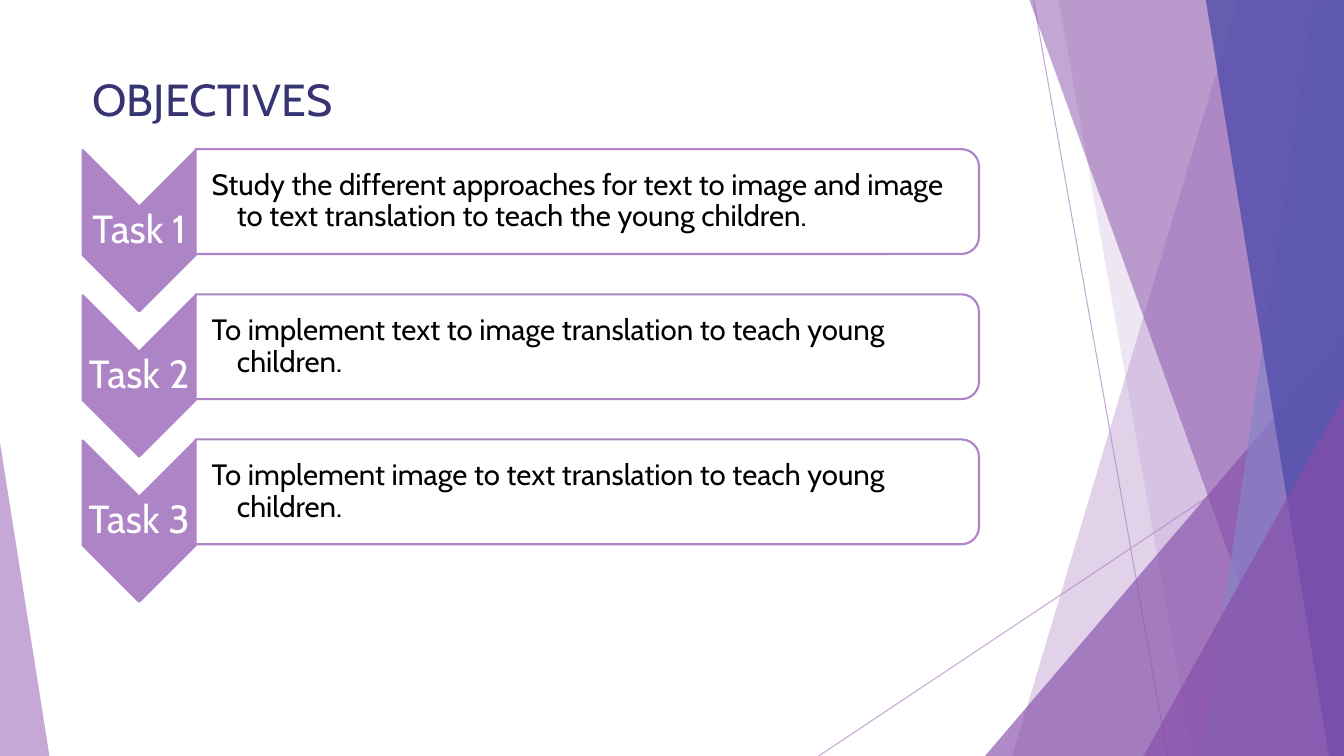
from dataclasses import dataclass

from lxml.etree import SubElement
from pptx import Presentation
from pptx.dml.color import RGBColor
from pptx.enum.shapes import MSO_CONNECTOR, MSO_SHAPE
from pptx.enum.text import MSO_ANCHOR, PP_ALIGN
from pptx.oxml.ns import qn
from pptx.util import Inches, Pt

TITLE = "OBJECTIVES"
TASKS = [
    ("Task 1", "Study the different approaches for text to image and image to text "
               "translation to teach the young children."),
    ("Task 2", "To implement text to image translation to teach young children."),
    ("Task 3", "To implement image to text translation to teach young children."),
]


@dataclass(frozen=True)
class Theme:
    font: str = "Cabin"
    lilac: str = "AD84C6"
    purple: str = "874EA9"
    periwinkle: str = "8784C7"
    indigo: str = "524EAB"
    navy: str = "373472"
    white: str = "FFFFFF"
    black: str = "000000"
    title_size: float = 32
    label_size: float = 28
    body_size: float = 21
    outline: float = 1.5
    hairline: float = 0.75


THEME = Theme()
WIDTH, HEIGHT = 13.33, 7.5

# Start and end of each thin line
RAYS = [((10.25, 0), (11.58, HEIGHT)), ((WIDTH, 4.03), (8.12, HEIGHT))]
# Bands run to the right edge: top-left x, bottom-left x, colour, opacity
# Triangles stand on the bottom edge: left, top, width, apex, colour, opacity
FACETS = [
    ("band", (12.28, 10.04, THEME.lilac, 36)),
    ("band", (10.5, 11.83, THEME.lilac, 20)),
    ("triangle", (9.77, 3.33, 3.56, 1, THEME.purple, 66)),
    ("band", (10.21, 12.91, THEME.purple, 50)),
    ("band", (13.03, 11.92, THEME.periwinkle, 70)),
    ("band", (11.96, 13.18, THEME.indigo, 80)),
    ("triangle", (11.34, 3.93, 1.99, 1, THEME.purple, 66)),
    ("triangle", (0, 4.39, 0.49, 0, THEME.lilac, 70)),
]

TASK_STEP = 1.44
CHEVRON_X, CHEVRON_Y, CHEVRON_W, CHEVRON_H = 1.38, 2.29, 1.12, 1.6
PANEL_LEFT, PANEL_Y, PANEL_W, PANEL_H = 1.94, 2.0, 7.77, 1.04
LABEL_H = 0.48
BODY_W, BODY_H = 7.72, 0.94


def set_opacity(color_format_owner, percent):
    for color in color_format_owner.iter(qn("a:srgbClr")):
        SubElement(color, qn("a:alpha")).set("val", str(percent * 1000))


def paint(shape, color, opacity=100, outline=None):
    shape.shadow.inherit = False
    shape.fill.solid()
    shape.fill.fore_color.rgb = RGBColor.from_string(color)
    if opacity < 100:
        set_opacity(shape.fill._xPr.find(qn("a:solidFill")), opacity)
    if outline:
        shape.line.color.rgb = RGBColor.from_string(outline)
        shape.line.width = Pt(THEME.outline)
    else:
        shape.line.fill.background()


def add_ray(slide, start, end):
    ray = slide.shapes.add_connector(
        MSO_CONNECTOR.STRAIGHT, *(Inches(value) for value in (*start, *end)))
    ray.line.color.rgb = RGBColor.from_string(THEME.lilac)
    ray.line.width = Pt(THEME.hairline)
    properties = ray._element.spPr
    set_opacity(properties, 70)
    SubElement(properties, qn("a:effectLst"))


def add_band(slide, top_x, bottom_x, color, opacity):
    corners = [(WIDTH, 0), (WIDTH, HEIGHT), (bottom_x, HEIGHT)]
    outline = slide.shapes.build_freeform(Inches(top_x), 0)
    outline.add_line_segments([(Inches(x), Inches(y)) for x, y in corners])
    paint(outline.convert_to_shape(), color, opacity)


def add_triangle(slide, left, top, width, apex, color, opacity):
    triangle = slide.shapes.add_shape(
        MSO_SHAPE.ISOSCELES_TRIANGLE,
        Inches(left), Inches(top), Inches(width), Inches(HEIGHT - top))
    triangle.adjustments[0] = apex
    paint(triangle, color, opacity)


def add_turned(slide, kind, center_x, center_y, width, height):
    """Add a shape turned by 90 degrees; width and height are as seen."""
    shape = slide.shapes.add_shape(
        kind, Inches(center_x - height / 2), Inches(center_y - width / 2),
        Inches(height), Inches(width))
    shape.rotation = 90
    return shape


def add_text(slide, text, left, top, width, height, *, size, color,
             align=PP_ALIGN.LEFT, anchor=MSO_ANCHOR.MIDDLE,
             insets=(0.1, 0.05, 0.1, 0.05), spacing=0.9, hanging=0):
    box = slide.shapes.add_textbox(
        Inches(left), Inches(top), Inches(width), Inches(height))
    frame = box.text_frame
    frame.word_wrap = True
    frame.vertical_anchor = anchor
    (frame.margin_left, frame.margin_top,
     frame.margin_right, frame.margin_bottom) = map(Inches, insets)
    paragraph = frame.paragraphs[0]
    paragraph.alignment = align
    paragraph.line_spacing = spacing
    if hanging:
        indents = paragraph._p.get_or_add_pPr()
        indents.set("marL", str(Inches(hanging)))
        indents.set("indent", str(-Inches(hanging)))
    run = paragraph.add_run()
    run.text = text
    run.font.name = THEME.font
    run.font.size = Pt(size)
    run.font.color.rgb = RGBColor.from_string(color)


def add_task(slide, index, label, body):
    drop = index * TASK_STEP
    chevron_y, panel_y = CHEVRON_Y + drop, PANEL_Y + drop
    chevron = add_turned(slide, MSO_SHAPE.CHEVRON, CHEVRON_X, chevron_y,
                         CHEVRON_W, CHEVRON_H)
    paint(chevron, THEME.lilac, outline=THEME.lilac)
    add_text(slide, label, CHEVRON_X - CHEVRON_W / 2, chevron_y - LABEL_H / 2,
             CHEVRON_W, LABEL_H, size=THEME.label_size, color=THEME.white,
             align=PP_ALIGN.CENTER, insets=(0.02,) * 4)
    panel = add_turned(slide, MSO_SHAPE.ROUND_2_SAME_RECTANGLE,
                       PANEL_LEFT + PANEL_W / 2, panel_y, PANEL_W, PANEL_H)
    paint(panel, THEME.white, 90, THEME.lilac)
    add_text(slide, body, PANEL_LEFT, panel_y - BODY_H / 2, BODY_W, BODY_H,
             size=THEME.body_size, color=THEME.black,
             insets=(0.16, 0.01, 0.01, 0.01), hanging=0.25)


def main():
    deck = Presentation()
    deck.slide_width, deck.slide_height = Inches(WIDTH), Inches(HEIGHT)
    slide = deck.slides.add_slide(deck.slide_layouts[6])
    for start, end in RAYS:
        add_ray(slide, start, end)
    draw = {"band": add_band, "triangle": add_triangle}
    for kind, facet in FACETS:
        draw[kind](slide, *facet)
    for index, (label, body) in enumerate(TASKS):
        add_task(slide, index, label, body)
    add_text(slide, TITLE, 0.82, 0.66, 9.94, 0.64, size=THEME.title_size,
             color=THEME.navy, anchor=MSO_ANCHOR.TOP, spacing=1.0)
    deck.save("out.pptx")


if __name__ == "__main__":
    main()
